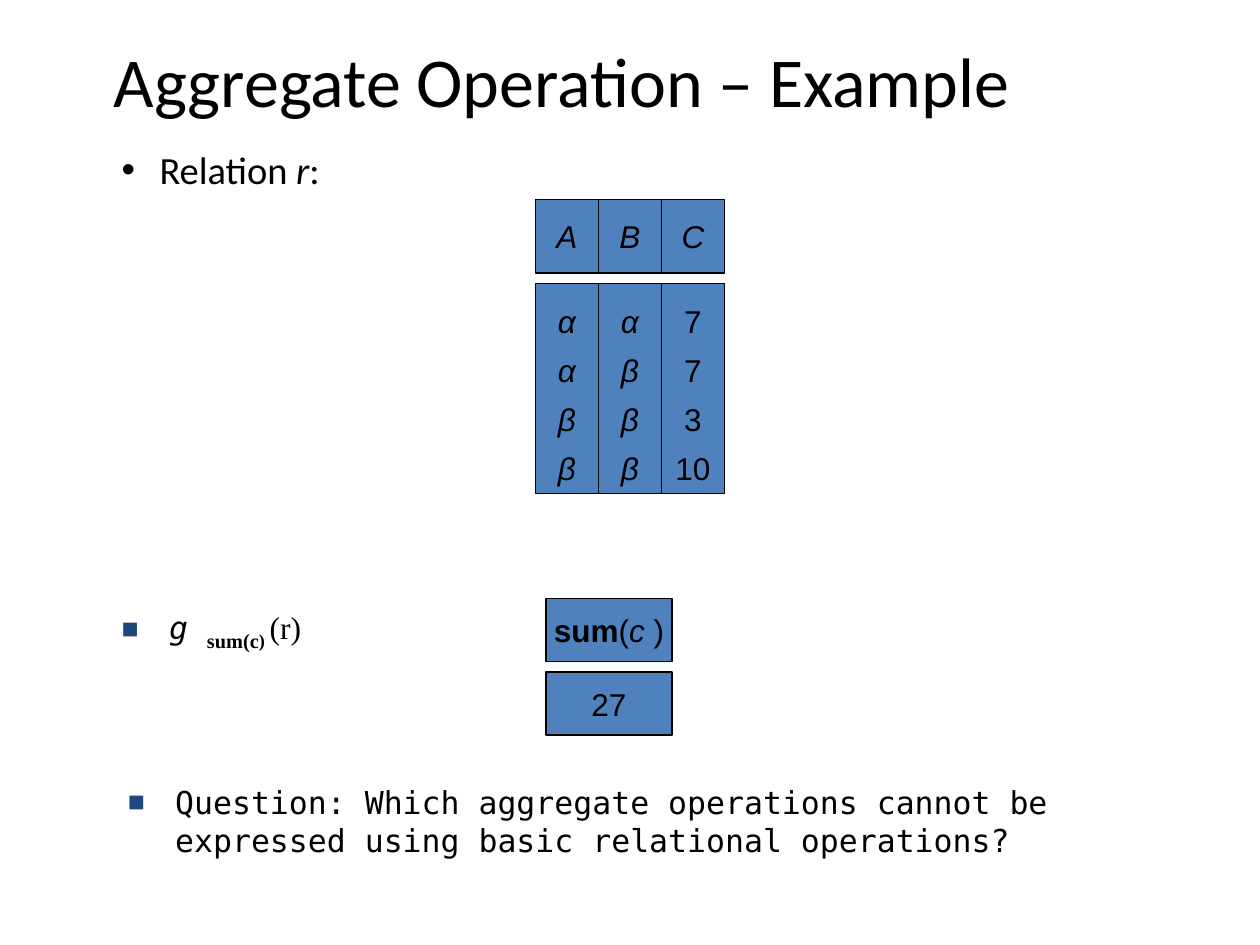
"""Build the slide with an example of the aggregate operation."""
from dataclasses import dataclass
from typing import Optional

import lxml.etree
import pptx
import pptx.dml.color
import pptx.enum.shapes
import pptx.enum.text
import pptx.oxml.ns
import pptx.util

Pt = pptx.util.Pt
ALIGN = pptx.enum.text.PP_ALIGN
ANCHOR = pptx.enum.text.MSO_ANCHOR
INK = {"text": "000000", "fill": "4F81BD", "mark": "1F497D"}
MONO = "DejaVu Sans Mono"
SERIF = "Times New Roman"


@dataclass
class Run:
    text: str
    bold: bool = False
    ital: bool = False
    size: Optional[float] = None
    font: Optional[str] = None
    base: int = 0


@dataclass
class Mark:
    char: str
    color: str
    indent: float
    scale: int = 100


@dataclass
class Cell:
    left: float
    top: float
    width: float
    height: float
    lines: list
    space: Optional[float] = None


@dataclass
class Item:
    left: float
    top: float
    width: float
    height: float
    runs: list
    mark: Mark
    style: dict


def color(name: str) -> pptx.dml.color.RGBColor:
    return pptx.dml.color.RGBColor.from_string(INK[name])


def add_mark(para, mark: Mark) -> None:
    props = para._p.get_or_add_pPr()
    props.set("marL", str(Pt(mark.indent)))
    props.set("indent", str(-Pt(mark.indent)))

    def add(owner, tag: str, **attrs: str):
        return lxml.etree.SubElement(owner, pptx.oxml.ns.qn(tag), attrs)

    add(add(props, "a:buClr"), "a:srgbClr", val=INK[mark.color])
    add(props, "a:buSzPct", val=str(mark.scale * 1000))
    add(props, "a:buFont", typeface="Arial")
    add(props, "a:buChar", char=mark.char)


def write(frame, lines: list, *, size: float = 18, font: str = "Arial",
          align=ALIGN.LEFT, anchor=ANCHOR.TOP, wrap: bool = True,
          space: Optional[float] = None, before: float = 0,
          mark: Optional[Mark] = None) -> None:
    frame.word_wrap = wrap
    frame.auto_size = pptx.enum.text.MSO_AUTO_SIZE.NONE
    frame.vertical_anchor = anchor
    for num, runs in enumerate(lines):
        para = frame.add_paragraph() if num else frame.paragraphs[0]
        para.alignment = align
        para.space_before = Pt(before)
        if space:
            para.line_spacing = space
        if mark:
            add_mark(para, mark)
        for part in runs:
            run = para.add_run()
            run.text = part.text
            run.font.size = Pt(part.size or size)
            run.font.name = part.font or font
            run.font.bold = part.bold
            run.font.italic = part.ital
            run.font.color.rgb = color("text")
            if part.base:
                run.font._element.set("baseline", str(part.base * 1000))


def place(shape, left: float, top: float, width: float, height: float) -> None:
    shape.left, shape.top = Pt(left), Pt(top)
    shape.width, shape.height = Pt(width), Pt(height)


def draw_cell(slide, cell: Cell) -> None:
    box = slide.shapes.add_shape(
        pptx.enum.shapes.MSO_SHAPE.RECTANGLE,
        Pt(cell.left), Pt(cell.top), Pt(cell.width), Pt(cell.height))
    box.shadow.inherit = False
    box.fill.solid()
    box.fill.fore_color.rgb = color("fill")
    box.line.color.rgb = color("text")
    box.line.width = Pt(0.75)
    write(box.text_frame, cell.lines, align=ALIGN.CENTER,
          anchor=ANCHOR.MIDDLE, wrap=False, space=cell.space)


def draw_item(slide, item: Item) -> None:
    box = slide.shapes.add_textbox(
        Pt(item.left), Pt(item.top), Pt(item.width), Pt(item.height))
    write(box.text_frame, [item.runs], mark=item.mark, **item.style)


def main() -> None:
    deck = pptx.Presentation()
    deck.slide_width, deck.slide_height = Pt(720), Pt(540)
    slide = deck.slides.add_slide(deck.slide_layouts[5])
    title = slide.shapes.title
    place(title, 36, 25, 570, 41)
    write(title.text_frame, [[Run("Aggregate Operation – Example")]], size=40,
          font="Calibri", align=ALIGN.CENTER, anchor=ANCHOR.MIDDLE)

    dot = Mark("•", "text", 21.6)
    block = Mark("■", "mark", 27, 90)
    code = {"font": MONO, "before": 7.9}
    items = [
        Item(62.5, 85, 139, 45.5,
             [Run("Relation "), Run("r", ital=True), Run(":")], dot,
             {"size": 22, "font": "Calibri", "space": 0.8, "before": 5.5}),
        Item(62.5, 342, 158.5, 44,
             [Run("g ", ital=True),
              Run("sum(c", bold=True, size=20, font=SERIF, base=-25),
              Run(") ", bold=True, font=SERIF, base=-25),
              Run("(r)", font=SERIF)], block, code),
        Item(66, 444, 564, 60,
             [Run("Question: Which aggregate operations cannot be expressed "
                  "using basic relational operations?")], block, code),
    ]
    for item in items:
        draw_item(slide, item)

    table = [("A", "ααββ", True), ("B", "αβββ", True),
             ("C", ("7", "7", "3", "10"), False)]
    for col, (name, vals, ital) in enumerate(table):
        left = 306 + 36 * col
        draw_cell(slide, Cell(left, 114, 36, 42, [[Run(name, ital=True)]]))
        draw_cell(slide, Cell(left, 162, 36, 120,
                              [[Run(val, ital=ital)] for val in vals], 1.3))

    total = [Run("sum", bold=True), Run("("), Run("c ", ital=True), Run(")")]
    for row, runs in enumerate([total, [Run("27")]]):
        draw_cell(slide, Cell(312, 342 + 42 * row, 72, 36, [runs]))
    deck.save("out.pptx")


if __name__ == "__main__":
    main()
